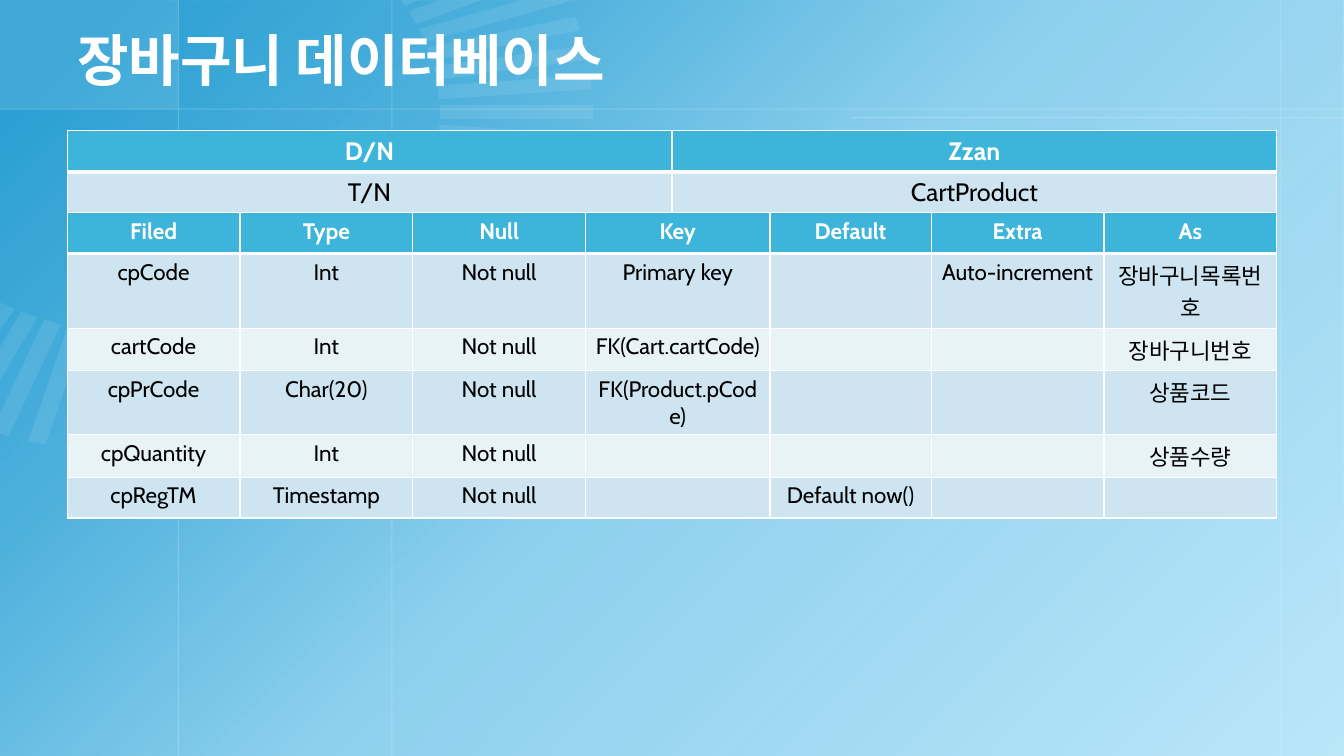
from math import cos, radians, sin

from pptx import Presentation
from pptx.dml.color import RGBColor
from pptx.enum.shapes import MSO_CONNECTOR as Connector, MSO_SHAPE as Shape
from pptx.enum.text import MSO_ANCHOR as Anchor, MSO_AUTO_SIZE as AutoSize, PP_ALIGN as Align
from pptx.oxml.ns import qn
from pptx.oxml.xmlchemy import OxmlElement
from pptx.util import Pt

WIDTH, HEIGHT = 960, 540
WHITE, BLACK = "FFFFFF", "000000"
HEADER, BAND_DARK, BAND_LIGHT = "3DB5DB", "CEE5F1", "E8F3F8"
ROW_HEIGHT = 29.2

DATABASE_ROWS = [["D/N", "Zzan"], ["T/N", "CartProduct"]]
FIELD_ROWS = [
    ["Filed", "Type", "Null", "Key", "Default", "Extra", "As"],
    ["cpCode", "Int", "Not null", "Primary key", "", "Auto-increment", "장바구니목록번호"],
    ["cartCode", "Int", "Not null", "FK(Cart.cartCode)", "", "", "장바구니번호"],
    ["cpPrCode", "Char(20)", "Not null", "FK(Product.pCode)", "", "", "상품코드"],
    ["cpQuantity", "Int", "Not null", "", "", "", "상품수량"],
    ["cpRegTM", "Timestamp", "Not null", "", "Default now()", "", ""],
]


def rgb(value):
    return RGBColor.from_string(value)


def add_element(parent, tag, **attributes):
    element = OxmlElement(tag)
    for name, value in attributes.items():
        element.set(name, str(value))
    parent.append(element)
    return element


def set_opacity(shape, percent):
    color = next(shape._element.spPr.iter(qn("a:srgbClr")))
    add_element(color, "a:alpha", val=percent * 1000)


def paint(shape, color, opacity):
    shape.shadow.inherit = False
    shape.line.fill.background()
    shape.fill.solid()
    shape.fill.fore_color.rgb = rgb(color)
    set_opacity(shape, opacity)


def add_guide(slide, x1, y1, x2, y2):
    guide = slide.shapes.add_connector(Connector.STRAIGHT, Pt(x1), Pt(y1), Pt(x2), Pt(y2))
    guide.line.color.rgb = rgb(WHITE)
    guide.line.width = Pt(0.75)
    set_opacity(guide, 20)
    add_element(guide._element.spPr, "a:effectLst")


def clip(points, axis):
    """Keep the part of a polygon where the coordinate is not negative."""
    kept = []
    for start, end in zip(points, points[1:] + points[:1]):
        if start[axis] >= 0:
            kept.append(start)
        if (start[axis] >= 0) != (end[axis] >= 0):
            share = start[axis] / (start[axis] - end[axis])
            kept.append(tuple(a + share * (b - a) for a, b in zip(start, end)))
    return kept


def add_sunburst(slide, center_x, center_y, inner, outer, half_width, squash):
    # One ray every five degrees, cut at the slide edges
    for step in range(-6, 25):
        angle = radians(5 * step)
        corners = [(inner, -half_width), (outer, -half_width),
                   (outer, half_width), (inner, half_width)]
        ray = [(center_x + along * cos(angle) - across * sin(angle),
                center_y + squash * (along * sin(angle) + across * cos(angle)))
               for along, across in corners]
        ray = [(Pt(x), Pt(y)) for x, y in clip(clip(ray, 0), 1)]
        builder = slide.shapes.build_freeform(*ray[0])
        builder.add_line_segments(ray[1:], close=True)
        paint(builder.convert_to_shape(), "F2FAFE", 10)


def add_backdrop(slide, width, height):
    slide.background.fill.solid()
    slide.background.fill.fore_color.rgb = rgb("BCE7FA")

    # Diagonal blue wash
    wash = slide.shapes.add_shape(Shape.RECTANGLE, 0, 0, Pt(width), Pt(height))
    wash.shadow.inherit = False
    wash.line.fill.background()
    wash.fill.gradient()
    wash.fill.gradient_angle = 315
    stops = next(wash._element.spPr.iter(qn("a:gsLst")))
    for stop in list(stops):
        stops.remove(stop)
    for position, opacity in [(6, 83), (26, 63), (50, 27), (100, 0)]:
        stop = add_element(stops, "a:gs", pos=position * 1000)
        color = add_element(stop, "a:srgbClr", val="0F92CC")
        add_element(color, "a:alpha", val=opacity * 1000)

    # Corner block and guide lines
    corner = slide.shapes.add_shape(Shape.RECTANGLE, 0, 0, Pt(127.5), Pt(78))
    paint(corner, WHITE, 10)
    for x in (127.5, 915, 280):
        add_guide(slide, x, 0, x, height)
    add_guide(slide, 0, 78, width, 78)
    add_guide(slide, 608, 84, width, 84)

    add_sunburst(slide, 108, 80, 206, 315.5, 6.4, 0.775)


def add_title(slide, left, top, width, height):
    title = slide.shapes.title
    slide.shapes._spTree.append(title._element)
    title.left, title.top, title.width, title.height = map(Pt, (left, top, width, height))
    frame = title.text_frame
    frame.word_wrap = True
    frame.auto_size = AutoSize.NONE
    frame.vertical_anchor = Anchor.MIDDLE
    paragraph = frame.paragraphs[0]
    paragraph.alignment = Align.LEFT
    write(paragraph, "장바구니 데이터베이스", "Calibri", 40, WHITE, True)


def write(paragraph, text, font_name, size, color, bold):
    run = paragraph.add_run()
    run.text = text
    run.font.name = font_name
    run.font.size = Pt(size)
    run.font.bold = bold
    run.font.color.rgb = rgb(color)


def set_borders(cell, top, bottom):
    properties = cell._tc.get_or_add_tcPr()
    for side, width in (("L", 1), ("R", 1), ("T", top), ("B", bottom)):
        line = add_element(properties, f"a:ln{side}", w=Pt(width))
        add_element(add_element(line, "a:solidFill"), "a:srgbClr", val=WHITE)


def add_grid(slide, left, top, column_widths, rows, size):
    frame = slide.shapes.add_table(len(rows), len(column_widths), Pt(left), Pt(top),
                                   Pt(sum(column_widths)), Pt(ROW_HEIGHT * len(rows)))
    table = frame.table
    for column, width in zip(table.columns, column_widths):
        column.width = Pt(width)
    for row_index, texts in enumerate(rows):
        table.rows[row_index].height = Pt(ROW_HEIGHT)
        is_header = row_index == 0
        band = HEADER if is_header else BAND_DARK if row_index % 2 else BAND_LIGHT
        for column_index, text in enumerate(texts):
            cell = table.cell(row_index, column_index)
            # A thick rule separates the header from the body
            set_borders(cell, 3 if row_index == 1 else 1, 3 if is_header else 1)
            cell.fill.solid()
            cell.fill.fore_color.rgb = rgb(band)
            paragraph = cell.text_frame.paragraphs[0]
            paragraph.alignment = Align.CENTER
            if text:
                write(paragraph, text, "Cabin", size, WHITE if is_header else BLACK, is_header)


def add_cart_slide(presentation):
    slide = presentation.slides.add_slide(presentation.slide_layouts[5])
    add_backdrop(slide, WIDTH, HEIGHT)
    add_title(slide, 48, 3, 784, 78)

    # Database and table names, then the field list directly below
    left, top, width = 48, 93.5, 864
    add_grid(slide, left, top, [width / 2] * 2, DATABASE_ROWS, 18)
    field_widths = [width / 7] * 7
    field_widths[3] += 8.3
    field_widths[4] -= 8.3
    add_grid(slide, left, top + ROW_HEIGHT * len(DATABASE_ROWS), field_widths, FIELD_ROWS, 16)


def main():
    presentation = Presentation()
    presentation.slide_width, presentation.slide_height = Pt(WIDTH), Pt(HEIGHT)
    add_cart_slide(presentation)
    presentation.save("out.pptx")


if __name__ == "__main__":
    main()
